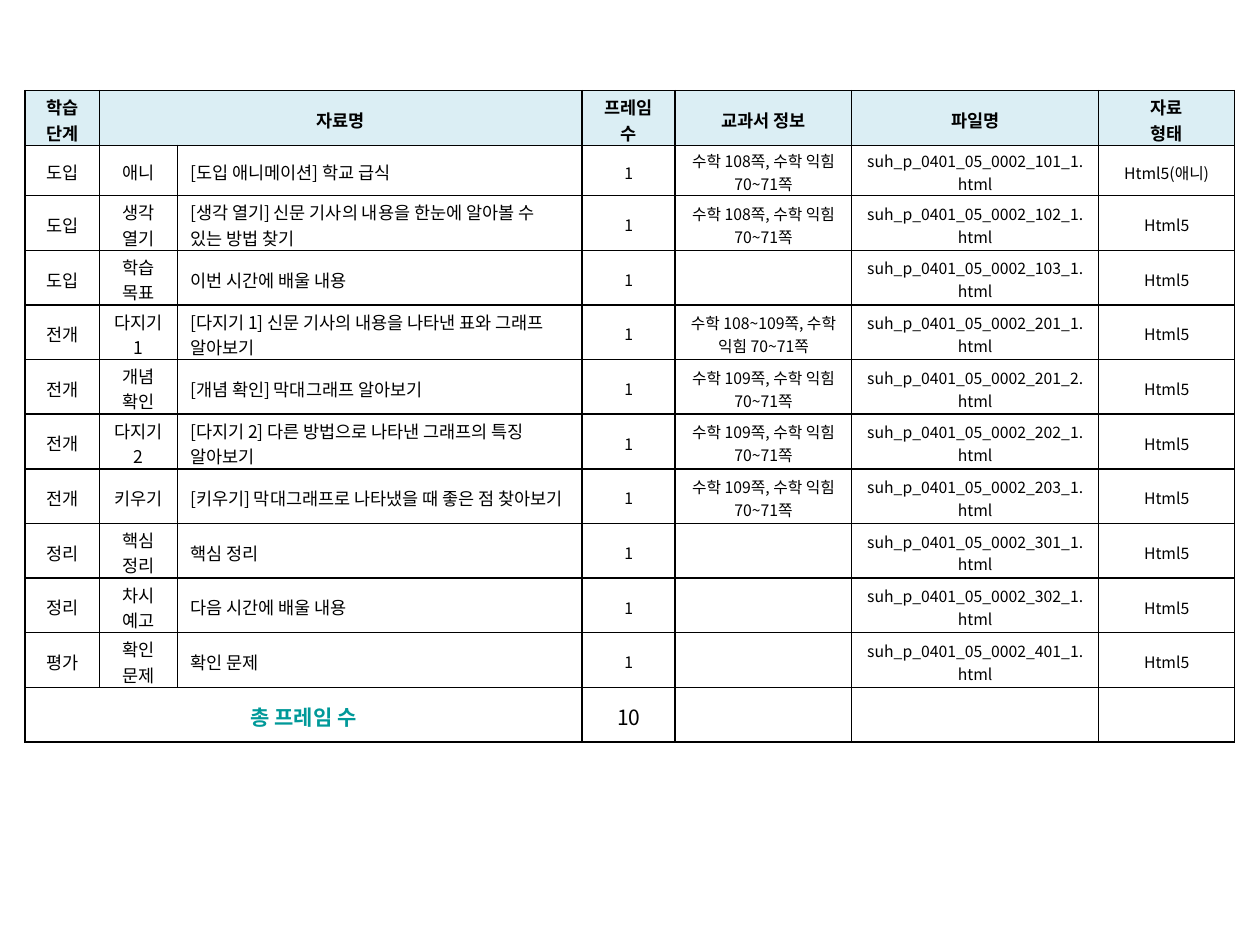
from dataclasses import dataclass

from lxml import etree
from pptx import Presentation
from pptx.dml.color import RGBColor
from pptx.enum.text import MSO_ANCHOR, PP_ALIGN
from pptx.oxml.ns import qn
from pptx.slide import Slide
from pptx.util import Inches, Pt

LEFT, CENTER = PP_ALIGN.LEFT, PP_ALIGN.CENTER
MIDDLE = MSO_ANCHOR.MIDDLE

BLACK = RGBColor(0x00, 0x00, 0x00)
TEAL = RGBColor(0x00, 0x99, 0x99)
PALE_BLUE = RGBColor(0xDB, 0xEE, 0xF4)

TABLE_LEFT, TABLE_TOP = 0.2, 0.72
TABLE_WIDTH, TABLE_HEIGHT = 9.6, 5.17
COLUMN_WIDTHS = [0.59, 0.62, 3.21, 0.74, 1.4, 1.96, 1.08]
FIRST_LESSON_HEIGHT = 0.4
NAME_COLUMN = 2
FRAME_COLUMN = 3

HEADINGS = ["학습 단계", "자료명", "", "프레임 수", "교과서 정보", "파일명", "자료\n형태"]

# Stage, part, material name, textbook pages, file number
LESSONS = [
    ("도입", "애니", "[도입 애니메이션] 학교 급식", "108", "101_1"),
    ("도입", "생각 열기", "[생각 열기] 신문 기사의 내용을 한눈에 알아볼 수 있는 방법 찾기",
     "108", "102_1"),
    ("도입", "학습 목표", "이번 시간에 배울 내용", "", "103_1"),
    ("전개", "다지기 1", "[다지기 1] 신문 기사의 내용을 나타낸 표와 그래프 알아보기",
     "108~109", "201_1"),
    ("전개", "개념 확인", "[개념 확인] 막대그래프 알아보기", "109", "201_2"),
    ("전개", "다지기 2", "[다지기 2] 다른 방법으로 나타낸 그래프의 특징 알아보기",
     "109", "202_1"),
    ("전개", "키우기", "[키우기] 막대그래프로 나타냈을 때 좋은 점 찾아보기", "109", "203_1"),
    ("정리", "핵심 정리", "핵심 정리", "", "301_1"),
    ("정리", "차시 예고", "다음 시간에 배울 내용", "", "302_1"),
    ("평가", "확인 문제", "확인 문제", "", "401_1"),
]


@dataclass
class SlideBuilder:
    slide: Slide
    font_name: str = "Noto Sans CJK KR"
    border_color: RGBColor = BLACK
    border_width: float = 1

    def table(self, row_heights):
        frame = self.slide.shapes.add_table(
            len(row_heights), len(COLUMN_WIDTHS), Inches(TABLE_LEFT), Inches(TABLE_TOP),
            Inches(TABLE_WIDTH), Inches(TABLE_HEIGHT))
        table = frame.table
        table.first_row = False
        table.horz_banding = False
        for column, width in zip(table.columns, COLUMN_WIDTHS):
            column.width = Inches(width)
        for row, height in zip(table.rows, row_heights):
            row.height = Inches(height)
        return table

    def borders(self, cell):
        properties = cell._tc.get_or_add_tcPr()
        for side in ("a:lnL", "a:lnR", "a:lnT", "a:lnB"):
            line = etree.SubElement(properties, qn(side), w=str(Pt(self.border_width)))
            fill = etree.SubElement(line, qn("a:solidFill"))
            etree.SubElement(fill, qn("a:srgbClr"), val=str(self.border_color))

    def cell(self, cell, text, size=10, bold=False, color=BLACK, align=CENTER, fill=None):
        self.borders(cell)
        if fill is None:
            cell.fill.background()
        else:
            cell.fill.solid()
            cell.fill.fore_color.rgb = fill
        cell.vertical_anchor = MIDDLE
        # Tight margins let two lines fit the row height
        cell.margin_top, cell.margin_bottom = Inches(0.03), 0
        cell.text = text
        for paragraph in cell.text_frame.paragraphs:
            paragraph.alignment = align
            font = paragraph.font
            font.size, font.bold, font.name = Pt(size), bold, self.font_name
            font.color.rgb = color
            defaults = paragraph._p.pPr.find(qn("a:defRPr"))
            etree.SubElement(defaults, qn("a:ea"), typeface=self.font_name)


def lesson_texts(lesson):
    stage, part, name, pages, number = lesson
    textbook = f"수학 {pages}쪽, 수학 익힘 70~71쪽" if pages else ""
    file_type = "Html5(애니)" if part == "애니" else "Html5"
    return [stage, part, name, "1", textbook, f"suh_p_0401_05_0002_{number}.html", file_type]


def main():
    presentation = Presentation()
    presentation.slide_width = Inches(10)
    presentation.slide_height = Inches(7.5)
    blank_layout = presentation.slide_layouts[6]
    builder = SlideBuilder(presentation.slides.add_slide(blank_layout))

    regular_rows = len(LESSONS)  # the heading, the total and all lessons but the first
    regular_height = (TABLE_HEIGHT - FIRST_LESSON_HEIGHT) / (regular_rows + 1)
    heights = [regular_height, FIRST_LESSON_HEIGHT] + [regular_height] * regular_rows
    materials = builder.table(heights)

    for column, heading in enumerate(HEADINGS):
        builder.cell(materials.cell(0, column), heading, bold=True, fill=PALE_BLUE)

    for row, lesson in enumerate(LESSONS, start=1):
        for column, text in enumerate(lesson_texts(lesson)):
            builder.cell(materials.cell(row, column), text,
                         size=9 if column >= FRAME_COLUMN else 10,
                         align=LEFT if column == NAME_COLUMN else CENTER)

    total_row = len(LESSONS) + 1
    totals = ["총 프레임 수", "", "", str(len(LESSONS)), "", "", ""]
    for column, text in enumerate(totals):
        is_label = column < FRAME_COLUMN
        builder.cell(materials.cell(total_row, column), text, size=12, bold=is_label,
                     color=TEAL if is_label else BLACK)

    materials.cell(0, 1).merge(materials.cell(0, NAME_COLUMN))
    materials.cell(total_row, 0).merge(materials.cell(total_row, NAME_COLUMN))

    presentation.save("out.pptx")


if __name__ == "__main__":
    main()
